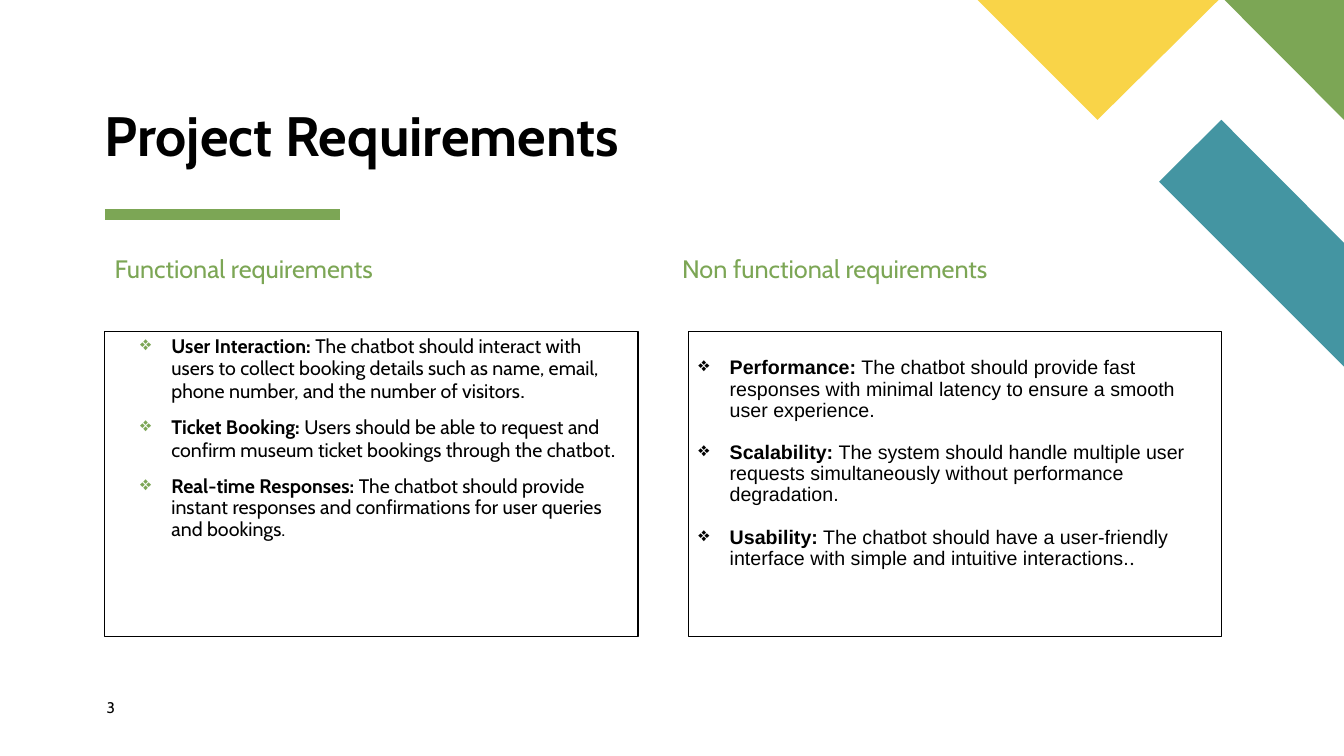
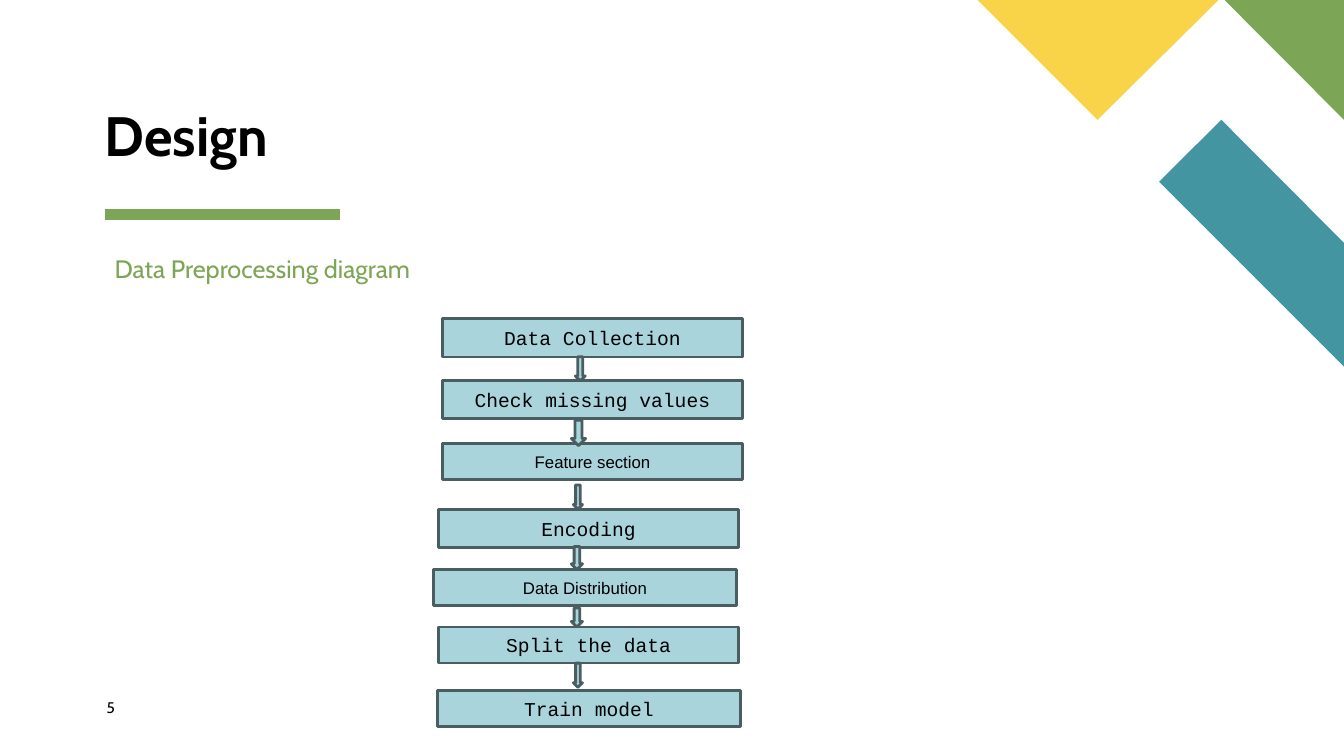
from lxml import etree
from pptx import Presentation
from pptx.dml.color import RGBColor
from pptx.enum.shapes import MSO_CONNECTOR, MSO_SHAPE
from pptx.enum.text import MSO_ANCHOR, PP_ALIGN
from pptx.oxml.ns import qn
from pptx.util import Cm, Pt

RECTANGLE, DOWN_ARROW = MSO_SHAPE.RECTANGLE, MSO_SHAPE.DOWN_ARROW
STRAIGHT = MSO_CONNECTOR.STRAIGHT
TOP, MIDDLE, BOTTOM = MSO_ANCHOR.TOP, MSO_ANCHOR.MIDDLE, MSO_ANCHOR.BOTTOM
LEFT, CENTER = PP_ALIGN.LEFT, PP_ALIGN.CENTER

BLACK = RGBColor(0x00, 0x00, 0x00)
GREEN = RGBColor(0x7C, 0xA6, 0x55)
TEAL = RGBColor(0x44, 0x95, 0xA2)
YELLOW = RGBColor(0xF9, 0xD4, 0x48)
PALE_TEAL = RGBColor(0xA9, 0xD4, 0xDB)
SLATE = RGBColor(0x4A, 0x5D, 0x60)
HEADING_FONT, BODY_FONT, CODE_FONT = "Cabin", "Arial", "Courier New"

MARGIN = 2.64
PANEL_WIDTH = 13.44

# Corner pieces: colour and outline in centimetres
CORNER = [
    (TEAL, [(33.87, 9.24), (33.87, 6.12), (30.78, 3.02), (29.21, 4.58)]),
    (GREEN, [(33.87, 3.02), (33.87, 0), (30.86, 0)]),
    (YELLOW, [(24.64, 0), (27.66, 3.02), (30.71, 0)]),
]


def add_label(slide, text, box, size, color, bold=False, inset=(0, 0), anchor=TOP, spacing=0.9):
    frame = slide.shapes.add_textbox(*map(Cm, box)).text_frame
    frame.word_wrap = True
    frame.vertical_anchor = anchor
    frame.margin_left = frame.margin_right = Cm(inset[0])
    frame.margin_top = frame.margin_bottom = Cm(inset[1])
    paragraph = frame.paragraphs[0]
    paragraph.line_spacing = spacing
    run = paragraph.add_run()
    run.text = text
    run.font.name, run.font.size, run.font.bold = HEADING_FONT, Pt(size), bold
    run.font.color.rgb = color


def start_slide(title, number, subheads):
    slide = deck.slides.add_slide(deck.slide_layouts[6])
    # Title underline
    underline = slide.shapes.add_connector(STRAIGHT, Cm(MARGIN), Cm(5.4), Cm(8.58), Cm(5.4))
    underline.line.color.rgb = GREEN
    underline.line.width = Pt(8)
    etree.SubElement(underline._element.spPr, qn("a:effectLst"))
    # Corner decoration
    for color, points in CORNER:
        outline = [(Cm(x), Cm(y)) for x, y in points]
        builder = slide.shapes.build_freeform(*outline[0])
        builder.add_line_segments(outline[1:])
        piece = builder.convert_to_shape()
        piece.shadow.inherit = False
        piece.fill.solid()
        piece.fill.fore_color.rgb = color
        piece.line.fill.background()
    # Title, subheads and slide number
    add_label(slide, title, (MARGIN, 3.05, 16.05, 1.19), 39.6, BLACK, bold=True, anchor=BOTTOM)
    for subhead, left in zip(subheads, (MARGIN, 16.94)):
        add_label(slide, subhead, (left, 6.35, PANEL_WIDTH, 0.89), 18, GREEN, inset=(0.25, 0.13))
    add_label(slide, number, (2.69, 17.58, 1.45, 0.69), 11, BLACK, spacing=1.0)
    return slide


deck = Presentation()
deck.slide_width, deck.slide_height = Cm(33.87), Cm(19.05)

# Slide: requirements
requirements = start_slide(
    "Project Requirements", "3", ["Functional requirements", "Non functional requirements"]
)
# Each item: bold lead, description, then closing mark with its size and font
functional = [
    ("User Interaction:", " The chatbot should interact with users to collect booking details "
     "such as name, email, phone number, and the number of visitors", ".", 16, HEADING_FONT),
    ("Ticket Booking:", " Users should be able to request and confirm museum ticket bookings "
     "through the chatbot", ".", 16, HEADING_FONT),
    ("Real-time Responses:", " The chatbot should provide instant responses and confirmations "
     "for user queries and bookings", ".", 14, HEADING_FONT),
]
non_functional = [
    ("Performance:", " The chatbot should provide fast responses with minimal latency to ensure "
     "a smooth user experience", ".", 14, BODY_FONT),
    ("Scalability:", " The system should handle multiple user requests simultaneously without "
     "performance degradation", ".", 14, BODY_FONT),
    ("Usability:", " The chatbot should have a user-friendly interface with simple and intuitive "
     "interactions.", ".", 14, "Calibri"),
]
# Panels: items, left, font, bullet colour, text indent, top inset, gap in points
panels = [
    (functional, MARGIN, HEADING_FONT, GREEN, 1.43, 0.13, 10),
    (non_functional, 17.35, BODY_FONT, BLACK, 0.79, 0.66, 15),
]
for items, left, font, bullet_color, indent, top_inset, gap in panels:
    panel = requirements.shapes.add_shape(
        RECTANGLE, Cm(left), Cm(8.36), Cm(PANEL_WIDTH), Cm(7.67)
    )
    panel.shadow.inherit = False
    panel.fill.background()
    panel.line.color.rgb = BLACK
    panel.line.width = Pt(0.75)
    frame = panel.text_frame
    frame.word_wrap = True
    frame.vertical_anchor = TOP
    frame.margin_top = Cm(top_inset)
    for index, (lead, description, mark, mark_size, mark_font) in enumerate(items):
        paragraph = frame.add_paragraph() if index else frame.paragraphs[0]
        paragraph.alignment = LEFT
        paragraph.line_spacing = 0.9
        paragraph.space_before = Pt(gap if index else 0)
        properties = paragraph._p.get_or_add_pPr()
        properties.set("marL", str(Cm(indent)))
        properties.set("indent", str(-Cm(0.79)))
        bullet_fill = etree.SubElement(properties, qn("a:buClr"))
        etree.SubElement(bullet_fill, qn("a:srgbClr"), val=str(bullet_color))
        etree.SubElement(properties, qn("a:buChar"), char="❖")
        for text, bold, size, face in [
            (lead, True, 14, font),
            (description, False, 14, font),
            (mark, False, mark_size, mark_font),
        ]:
            run = paragraph.add_run()
            run.text = text
            run.font.name, run.font.size, run.font.bold = face, Pt(size), bold
            run.font.color.rgb = BLACK

# Slide: preprocessing flow
design = start_slide("Design", "5", ["Data Preprocessing diagram"])
# Steps and arrows: shape, label, left, top, width, height, font, size
flow = [
    (RECTANGLE, "Data Collection", 11.15, 8.03, 7.57, 0.97, CODE_FONT, 14),
    (RECTANGLE, "Check missing values", 11.15, 9.58, 7.57, 0.97, CODE_FONT, 14),
    (RECTANGLE, "Feature section", 11.15, 11.18, 7.57, 0.91, BODY_FONT, 12),
    (RECTANGLE, "Encoding", 11.05, 12.83, 7.57, 0.97, CODE_FONT, 14),
    (RECTANGLE, "Data Distribution", 10.92, 14.35, 7.65, 0.91, BODY_FONT, 12),
    (RECTANGLE, "Split the data", 11.05, 15.8, 7.57, 0.91, CODE_FONT, 14),
    (RECTANGLE, "Train model", 11.02, 17.4, 7.65, 0.91, CODE_FONT, 14),
]
arrows = [
    (14.5, 8.99, 0.25, 0.61),
    (14.4, 10.59, 0.36, 0.64),
    (14.45, 12.22, 0.23, 0.61),
    (14.4, 13.77, 0.28, 0.58),
    (14.4, 15.32, 0.28, 0.48),
    (14.45, 16.71, 0.23, 0.61),
]
flow += [(DOWN_ARROW, "", *box, BODY_FONT, 12) for box in arrows]
for kind, label, left, top, width, height, font, size in flow:
    step = design.shapes.add_shape(kind, Cm(left), Cm(top), Cm(width), Cm(height))
    step.shadow.inherit = False
    step.fill.solid()
    step.fill.fore_color.rgb = PALE_TEAL
    step.line.color.rgb = SLATE
    step.line.width = Pt(2)
    if label:
        step.text_frame.vertical_anchor = MIDDLE
        paragraph = step.text_frame.paragraphs[0]
        paragraph.alignment = CENTER
        run = paragraph.add_run()
        run.text = label
        run.font.name, run.font.size = font, Pt(size)
        run.font.color.rgb = BLACK

deck.save("out.pptx")
